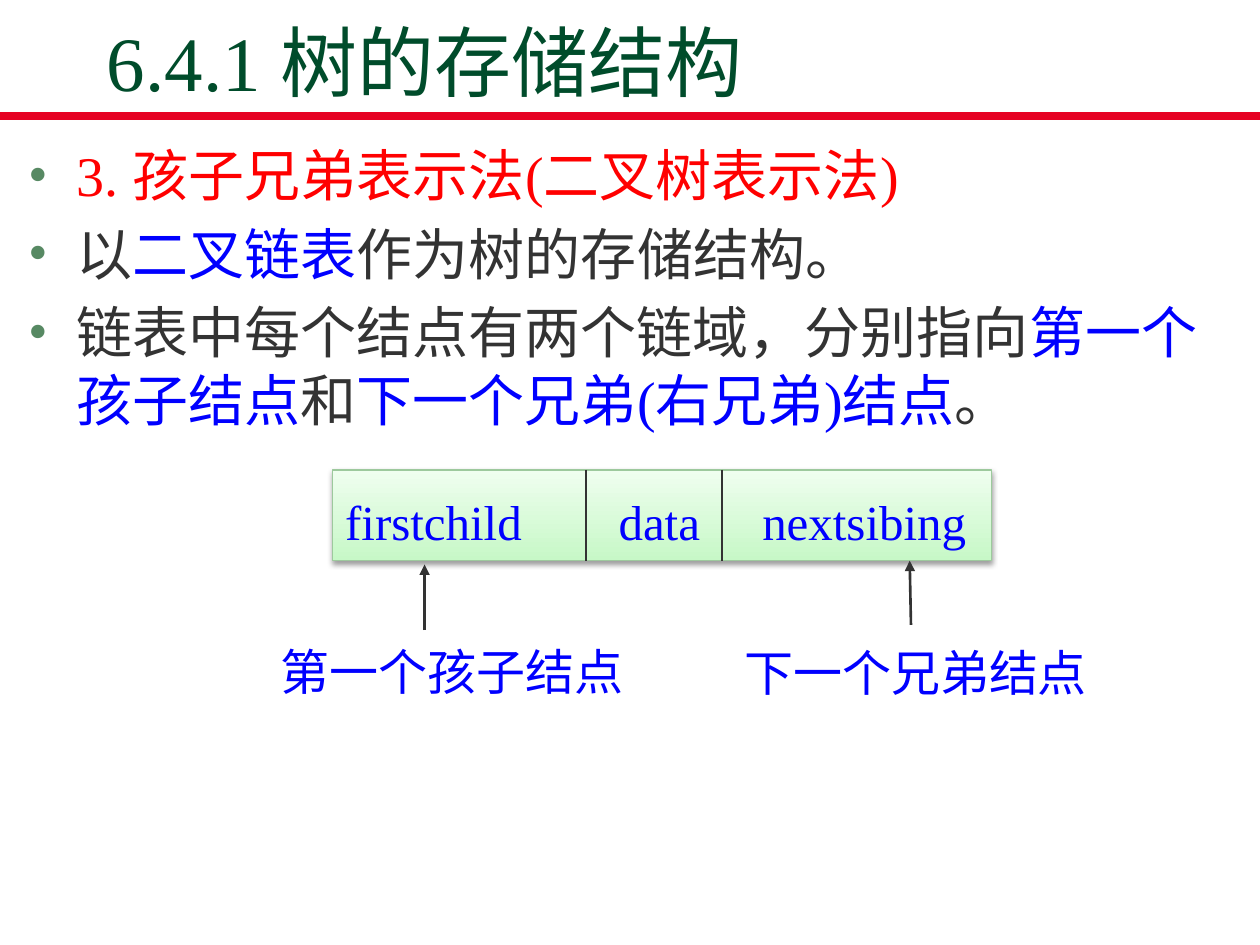
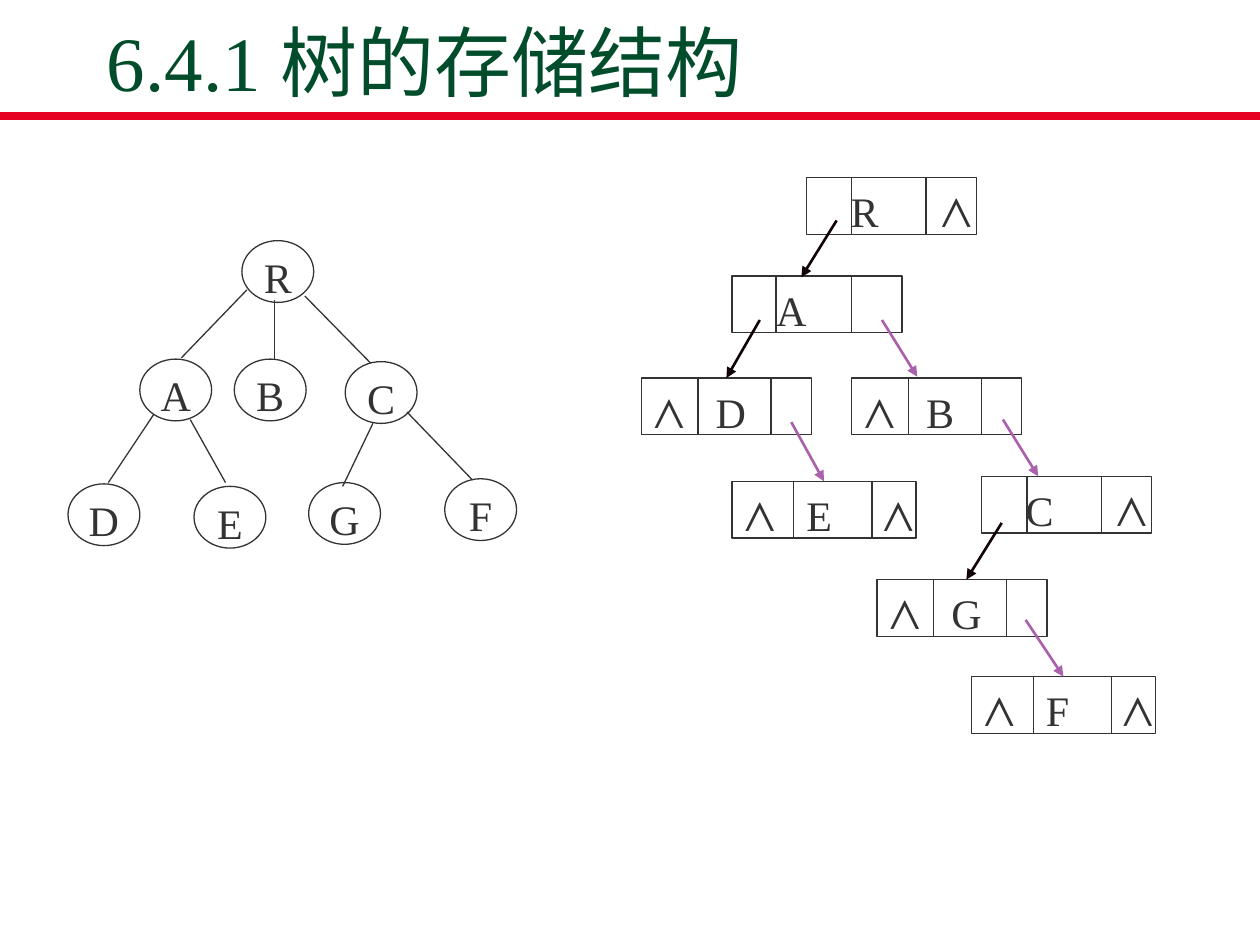
"""Build two slides on the child-sibling storage structure of trees."""
from dataclasses import dataclass

from lxml import etree
from pptx import Presentation
from pptx.dml.color import RGBColor
from pptx.enum.shapes import MSO_CONNECTOR, MSO_SHAPE
from pptx.enum.text import MSO_ANCHOR, PP_ALIGN
from pptx.oxml.ns import qn
from pptx.util import Inches, Pt

STRAIGHT = MSO_CONNECTOR.STRAIGHT
RECT, OVAL = MSO_SHAPE.RECTANGLE, MSO_SHAPE.OVAL
TOP, MIDDLE, BOTTOM = MSO_ANCHOR.TOP, MSO_ANCHOR.MIDDLE, MSO_ANCHOR.BOTTOM
LEFT, CENTER = PP_ALIGN.LEFT, PP_ALIGN.CENTER


@dataclass(frozen=True)
class Theme:
    font: str = "Times New Roman"
    title: str = "004C2B"
    band: str = "E60223"
    bullet: str = "578963"
    ink: str = "333333"
    red: str = "FF0000"
    blue: str = "0000FF"
    child: str = "110306"
    sibling: str = "AA60AA"
    cell_dark: str = "C7F8C7"
    cell_light: str = "EFFEEF"
    cell_edge: str = "9DC99D"
    title_size: int = 44
    body_size: int = 32
    label_size: int = 28
    node_size: int = 24
    label_spacing: float = 1.2


T = Theme()

TITLE = "6.4.1 树的存储结构"
BODY = [
    [("3. 孩子兄弟表示法(二叉树表示法)", T.red)],
    [("以", T.ink), ("二叉链表", T.blue), ("作为树的存储结构。", T.ink)],
    [("链表中每个结点有两个链域，分别指向", T.ink), ("第一个孩子结点", T.blue),
     ("和", T.ink), ("下一个兄弟(右兄弟)结点", T.blue), ("。", T.ink)],
]

RECORD = (2.64, 3.73, 5.23, 0.72)
RECORD_DIVIDERS = [4.65, 5.73]
RECORD_FIELDS = [("firstchild", 2.74, 1.8), ("data", 4.91, 0.8), ("nextsibing", 6.05, 1.8)]
POINTER_LABELS = [
    ("第一个孩子结点", (2.13, 4.95), (3.37, 5), (3.37, 4.48)),
    ("下一个兄弟结点", (5.81, 4.96), (7.22, 4.97), (7.22, 4.45)),
]
LABEL_BOX = (2.84, 0.66)

OVAL_SIZE = (0.57, 0.49)
TREE_NODES = {
    "R": (1.92, 1.91), "A": (1.11, 2.85), "B": (1.86, 2.85), "C": (2.74, 2.87),
    "D": (0.54, 3.84), "E": (1.54, 3.86), "G": (2.45, 3.83), "F": (3.53, 3.8),
}
TREE_EDGES = [
    ((1.96, 2.3), (1.44, 2.84)), ((2.18, 2.38), (2.18, 2.85)),
    ((2.42, 2.35), (2.94, 2.88)), ((1.22, 3.29), (0.86, 3.83)),
    ((1.51, 3.33), (1.79, 3.83)), ((3.23, 3.27), (3.75, 3.81)),
    ((2.96, 3.36), (2.72, 3.86)),
]

NIL = "⋀"
CELL_HEIGHT = 0.45
LETTER_WIDTH = 0.35
CELL_KINDS = {
    "child only": dict(width=1.35, dividers=(0.36, 0.95), letter=0.35, nils=[1.07]),
    "both": dict(width=1.35, dividers=(0.35, 0.95), letter=0.35, nils=[]),
    "sibling only": dict(width=1.35, dividers=(0.45, 1.03), letter=0.59, nils=[0.1]),
    "leaf": dict(width=1.46, dividers=(0.49, 1.11), letter=0.59, nils=[0.1, 1.2]),
}
CELLS = [
    ("R", "child only", 6.4, 1.41), ("A", "both", 5.81, 2.19),
    ("D", "sibling only", 5.09, 3), ("B", "sibling only", 6.76, 3),
    ("C", "child only", 7.79, 3.78), ("E", "leaf", 5.81, 3.82),
    ("G", "sibling only", 6.96, 4.6), ("F", "leaf", 7.71, 5.37),
]
CELL_LINKS = [
    (T.child, "A", (6.64, 1.75), (6.36, 2.2)), (T.child, "D", (6.03, 2.54), (5.75, 3)),
    (T.child, "G", (7.95, 4.15), (7.67, 4.6)),
    (T.sibling, "B", (7, 2.54), (7.28, 2.99)), (T.sibling, "C", (7.96, 3.33), (8.24, 3.78)),
    (T.sibling, "E", (6.28, 3.35), (6.56, 3.8)), (T.sibling, "F", (8.14, 4.92), (8.42, 5.37)),
]


def rgb(value):
    return RGBColor.from_string(value)


def write(sp, paragraphs, *, size, color=T.ink, anchor=MIDDLE, align=LEFT,
          spacing=None, left=0.1, right=0.1, bullet=False):
    tf = sp.text_frame
    tf.word_wrap, tf.vertical_anchor = True, anchor
    tf.margin_left, tf.margin_right = Inches(left), Inches(right)
    if isinstance(paragraphs, str):
        paragraphs = [[(paragraphs, color)]]
    for i, runs in enumerate(paragraphs):
        p = tf.add_paragraph() if i else tf.paragraphs[0]
        if bullet:
            add_bullet(p)
        p.alignment = align
        if spacing:
            p.line_spacing = spacing
        if i:
            p.space_before = Pt(0.2 * size)
        for text, run_color in runs:
            r = p.add_run()
            r.text = text
            r.font.name, r.font.size = T.font, Pt(size)
            r.font.color.rgb = rgb(run_color)


def add_bullet(p):
    pPr = p._p.get_or_add_pPr()
    pPr.set("marL", str(Inches(0.38)))
    pPr.set("indent", str(-Inches(0.38)))
    clr = etree.SubElement(pPr, qn("a:buClr"))
    etree.SubElement(clr, qn("a:srgbClr"), val=T.bullet)
    etree.SubElement(pPr, qn("a:buFont"), typeface=T.font)
    etree.SubElement(pPr, qn("a:buChar"), char="•")


def text_box(slide, box, paragraphs, **fmt):
    sp = slide.shapes.add_textbox(*map(Inches, box))
    write(sp, paragraphs, **fmt)
    return sp


def label(slide, box, text, size, color):
    text_box(slide, box, text, size=size, color=color,
             spacing=T.label_spacing, left=0, right=0)


def outline(slide, kind, box, color=T.ink):
    sp = slide.shapes.add_shape(kind, *map(Inches, box))
    sp.shadow.inherit = False
    sp.fill.background()
    sp.line.color.rgb, sp.line.width = rgb(color), Pt(0.75)
    return sp


def at_top_middle(sp, point):
    x, y = map(Inches, point)
    near = Inches(0.03)
    return abs(sp.left + sp.width // 2 - x) <= near and abs(sp.top - y) <= near


def line(slide, start, end, color=T.ink, width=0.75, arrow=False, source=None, target=None):
    c = slide.shapes.add_connector(STRAIGHT, *map(Inches, (*start, *end)))
    c.line.color.rgb, c.line.width = rgb(color), Pt(width)
    if arrow:
        etree.SubElement(c.line._get_or_add_ln(), qn("a:tailEnd"), type="triangle")
    etree.SubElement(c._element.spPr, qn("a:effectLst"))
    if source is not None and at_top_middle(source, start):
        c.begin_connect(source, 0)
    if target is not None and at_top_middle(target, end):
        c.end_connect(target, 0)


def dividers(slide, xs, y, h):
    for x in xs:
        line(slide, (x, y), (x, y + h))


def new_slide(prs):
    slide = prs.slides.add_slide(prs.slide_layouts[6])
    line(slide, (0, 0.92), (10, 0.92), T.band, 4.5)
    text_box(slide, (0.75, 0.25, 8.5, 0.65), TITLE, size=T.title_size,
             color=T.title, anchor=BOTTOM)
    return slide


def soft_shadow(sp):
    effects = sp._element.spPr.find(qn("a:effectLst"))
    shadow = etree.SubElement(effects, qn("a:outerShdw"), blurRad=str(Pt(3.1)),
                              dist=str(Pt(1.6)), dir="5400000", rotWithShape="0")
    clr = etree.SubElement(shadow, qn("a:srgbClr"), val="000000")
    etree.SubElement(clr, qn("a:alpha"), val="38000")


def record_slide(prs):
    slide = new_slide(prs)
    text_box(slide, (0.13, 1.07, 9.74, 1.4), BODY, size=T.body_size,
             anchor=TOP, bullet=True)
    sp = outline(slide, RECT, RECORD, T.cell_edge)
    sp.fill.gradient()
    sp.fill.gradient_angle = 90
    for stop, color in zip(sp.fill.gradient_stops, (T.cell_dark, T.cell_light)):
        stop.color.rgb = rgb(color)
    soft_shadow(sp)
    y, h = RECORD[1], RECORD[3]
    for text, x, w in RECORD_FIELDS:
        label(slide, (x, y, w, h), text, T.label_size, T.blue)
    dividers(slide, RECORD_DIVIDERS, y, h)
    for text, corner, start, end in POINTER_LABELS:
        box = text_box(slide, (*corner, *LABEL_BOX), text, size=T.label_size,
                       color=T.blue, spacing=T.label_spacing, right=0)
        line(slide, start, end, width=1.5, arrow=True, source=box)


def cell(slide, name, kind, x, y):
    k = CELL_KINDS[kind]
    sp = outline(slide, RECT, (x, y, k["width"], CELL_HEIGHT))
    dividers(slide, [x + dx for dx in k["dividers"]], y, CELL_HEIGHT)
    for text, dx in [(name, k["letter"])] + [(NIL, dx) for dx in k["nils"]]:
        label(slide, (x + dx, y, LETTER_WIDTH, CELL_HEIGHT), text, T.node_size, T.ink)
    return sp


def tree_slide(prs):
    slide = new_slide(prs)
    for name, corner in TREE_NODES.items():
        sp = outline(slide, OVAL, (*corner, *OVAL_SIZE))
        write(sp, name, size=T.node_size, align=CENTER,
              spacing=T.label_spacing, left=0, right=0)
    for start, end in TREE_EDGES:
        line(slide, start, end)
    cells = {name: cell(slide, name, *rest) for name, *rest in CELLS}
    for color, name, start, end in CELL_LINKS:
        line(slide, start, end, color, 1.5, arrow=True, target=cells[name])


def main():
    prs = Presentation()
    prs.slide_width, prs.slide_height = Inches(10), Inches(7.5)
    record_slide(prs)
    tree_slide(prs)
    prs.save("out.pptx")


if __name__ == "__main__":
    main()
